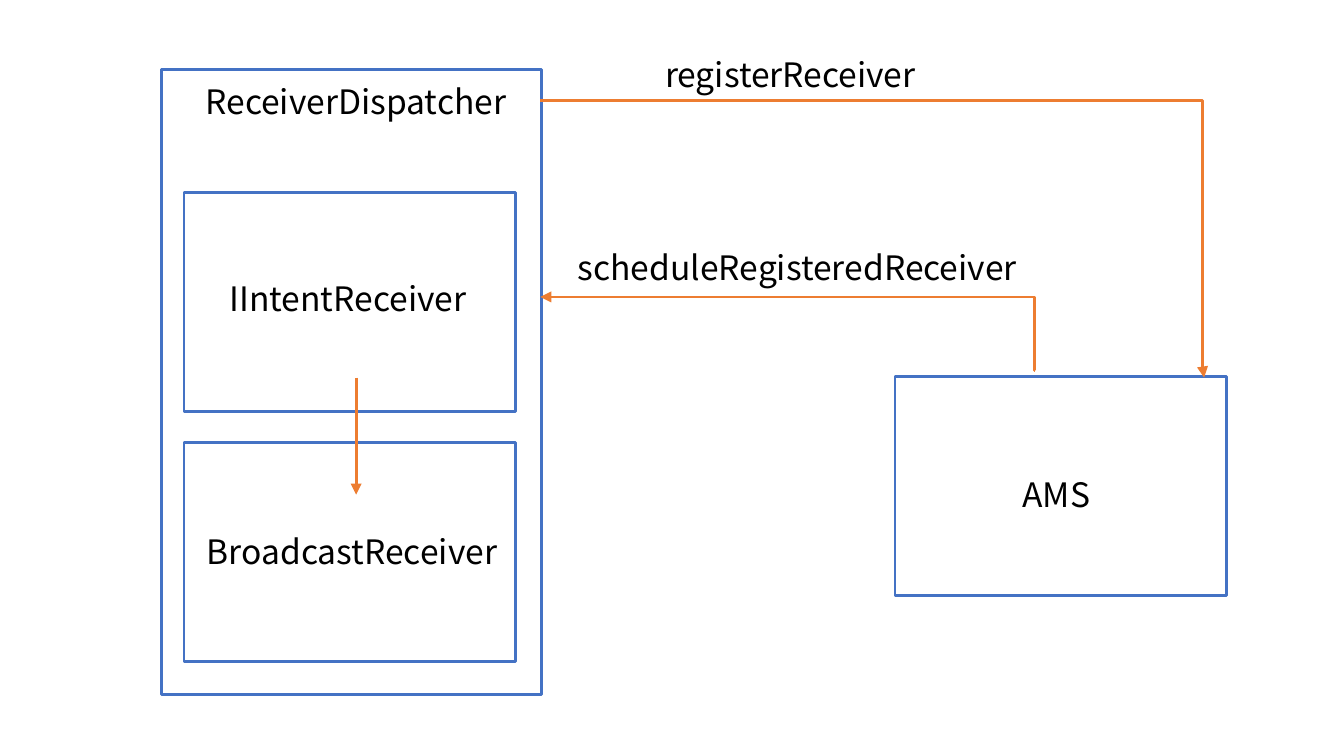
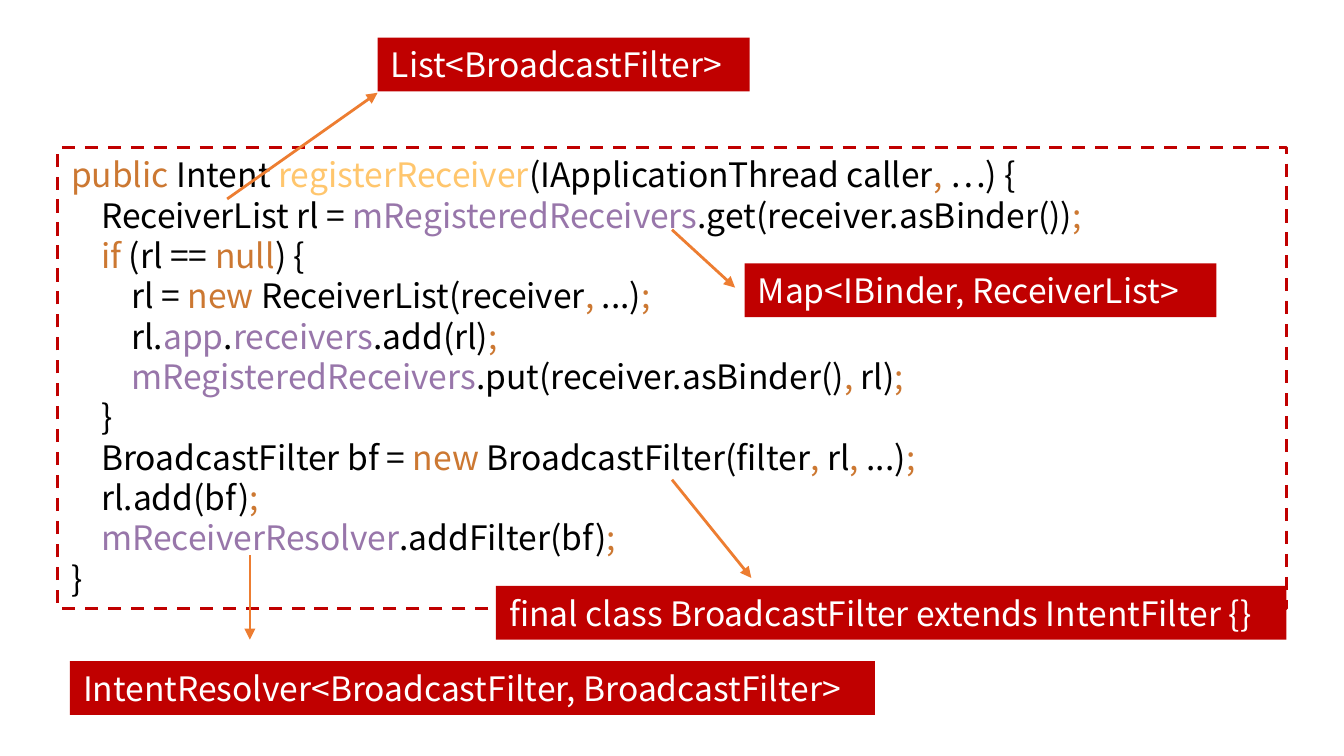
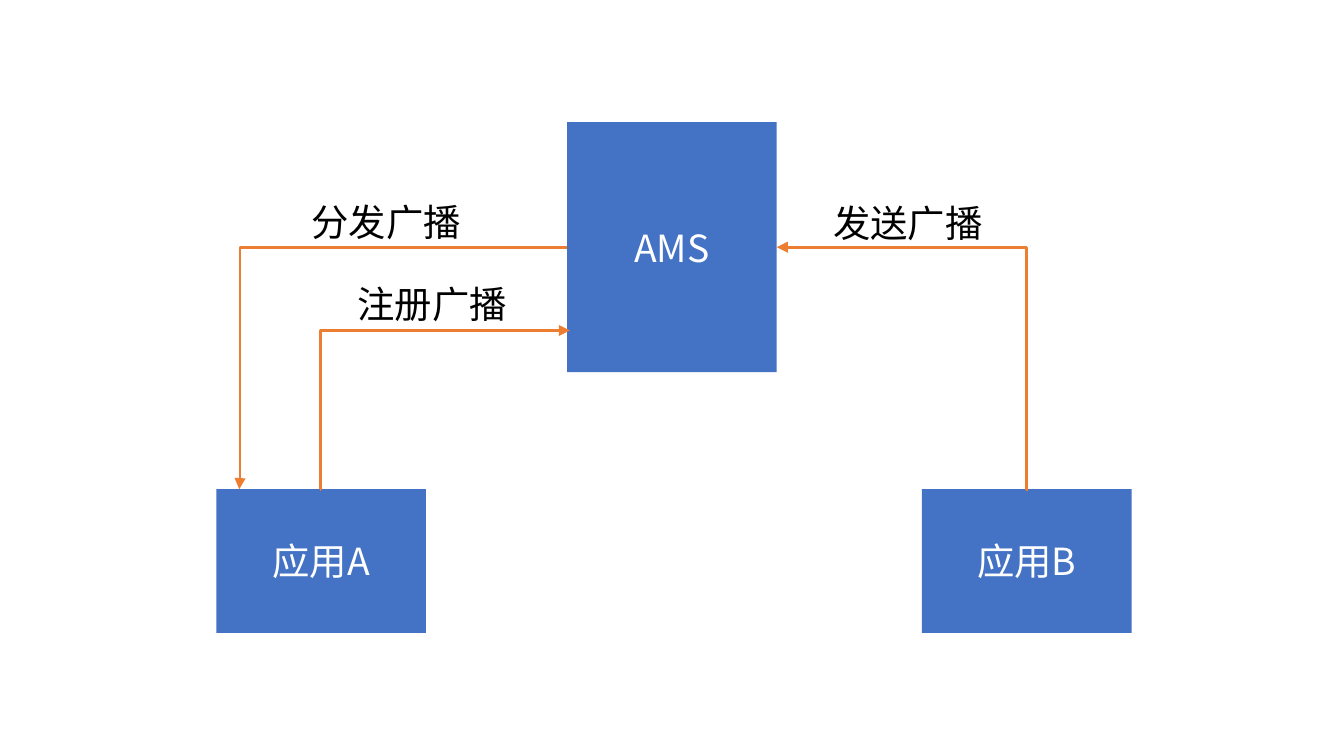
from dataclasses import dataclass

from lxml import etree
from pptx import Presentation
from pptx.dml.color import RGBColor
from pptx.enum.dml import MSO_LINE
from pptx.enum.shapes import MSO_CONNECTOR, MSO_SHAPE
from pptx.enum.text import MSO_ANCHOR, MSO_AUTO_SIZE, PP_ALIGN
from pptx.oxml.ns import qn
from pptx.shapes.autoshape import Shape
from pptx.slide import Slide
from pptx.text.text import TextFrame
from pptx.util import Pt

RECTANGLE = MSO_SHAPE.RECTANGLE
STRAIGHT, ELBOW = MSO_CONNECTOR.STRAIGHT, MSO_CONNECTOR.ELBOW
DASH = MSO_LINE.DASH
TOP, MIDDLE = MSO_ANCHOR.TOP, MSO_ANCHOR.MIDDLE
LEFT, CENTER = PP_ALIGN.LEFT, PP_ALIGN.CENTER
GROW = MSO_AUTO_SIZE.SHAPE_TO_FIT_TEXT

FONT = "Noto Sans CJK SC"
BLACK, WHITE = "000000", "FFFFFF"
BLUE, ORANGE, RED = "4472C4", "ED7D31", "C00000"
KEYWORD, METHOD, FIELD = "CC7832", "FFC66D", "9876AA"
BODY_SIZE, FLOW_SIZE = 18, 20
LABEL_HEIGHT = 28.8
TURN_AT_START, TURN_AT_END = 100, 99800

Run = tuple[str, str]


@dataclass(frozen=True)
class Box:
    left: float
    top: float
    width: float
    height: float = LABEL_HEIGHT


@dataclass(frozen=True)
class Label:
    text: str
    box: Box


@dataclass(frozen=True)
class Arrow:
    start: tuple[float, float]
    end: tuple[float, float]
    turn: int | None = None


def rgb(color: str) -> RGBColor:
    return RGBColor.from_string(color)


def write(frame: TextFrame, lines: list[list[Run]], size: float) -> None:
    paragraph = frame.paragraphs[0]
    for number, line in enumerate(lines):
        if number:
            paragraph.add_line_break()
        for text, color in line:
            run = paragraph.add_run()
            run.text = text
            run.font.size = Pt(size)
            run.font.color.rgb = rgb(color)
            run.font.name = FONT
            etree.SubElement(run.font._element, qn("a:ea"), typeface=FONT)


def add_box(slide: Slide, box: Box, fill: str | None = None,
            outline: str | None = None, weight: float = 1.5) -> Shape:
    shape = slide.shapes.add_shape(
        RECTANGLE, Pt(box.left), Pt(box.top), Pt(box.width), Pt(box.height))
    shape.shadow.inherit = False
    if fill:
        shape.fill.solid()
        shape.fill.fore_color.rgb = rgb(fill)
    else:
        shape.fill.background()
    if outline:
        shape.line.color.rgb = rgb(outline)
        shape.line.width = Pt(weight)
    else:
        shape.line.fill.background()
    return shape


def add_label(slide: Slide, label: Label, size: float = BODY_SIZE) -> None:
    box = label.box
    frame = slide.shapes.add_textbox(
        Pt(box.left), Pt(box.top), Pt(box.width), Pt(box.height)).text_frame
    frame.word_wrap = False
    frame.auto_size = GROW
    write(frame, [[(label.text, BLACK)]], size)


def add_callout(slide: Slide, callout: Label) -> None:
    frame = add_box(slide, callout.box, fill=RED).text_frame
    frame.word_wrap = False
    frame.auto_size = GROW
    frame.vertical_anchor = TOP
    frame.paragraphs[0].alignment = LEFT
    write(frame, [[(callout.text, WHITE)]], BODY_SIZE)


def add_flow_node(slide: Slide, node: Label) -> None:
    frame = add_box(slide, node.box, fill=BLUE).text_frame
    frame.word_wrap = True
    frame.vertical_anchor = MIDDLE
    frame.paragraphs[0].alignment = CENTER
    write(frame, [[(node.text, WHITE)]], FLOW_SIZE)


def add_arrow(slide: Slide, arrow: Arrow) -> None:
    connector = slide.shapes.add_connector(
        STRAIGHT if arrow.turn is None else ELBOW,
        *(Pt(value) for value in arrow.start + arrow.end))
    connector.line.color.rgb = rgb(ORANGE)
    connector.line.width = Pt(1.5)
    properties = connector._element.spPr
    etree.SubElement(properties.find(qn("a:ln")), qn("a:tailEnd"), type="triangle")
    etree.SubElement(properties, qn("a:effectLst"))
    if arrow.turn is not None:
        adjustments = properties.find(qn("a:prstGeom")).find(qn("a:avLst"))
        etree.SubElement(adjustments, qn("a:gd"), name="adj1", fmla=f"val {arrow.turn}")


def build_registration(slide: Slide) -> None:
    part_width, part_height = 177.8, 117.4
    dispatcher = Box(86.4, 37.4, 203.8, 334.8)
    parts = [Box(left, top, part_width, part_height)
             for left, top in ((98.6, 236.9), (98.6, 103), (479.5, 201.6))]
    for box in (dispatcher, *parts):
        add_box(slide, box, outline=BLUE)
    for label in (
        Label("ReceiverDispatcher", Box(103, 39.6, 180)),
        Label("BroadcastReceiver", Box(103.7, 280.8, 172.8)),
        Label("IIntentReceiver", Box(115.9, 145.4, 144)),
        Label("AMS", Box(540.7, 250.6, 55.4)),
        Label("scheduleRegisteredReceiver", Box(302.4, 128.9, 256.3)),
        Label("registerReceiver", Box(349.2, 25.2, 153.4)),
    ):
        add_label(slide, label)
    for arrow in (
        Arrow((190.8, 202.3), (190.8, 265)),
        Arrow((289.4, 54), (645.1, 202.3), TURN_AT_END),
        Arrow((554.4, 198.7), (289.4, 159.1), TURN_AT_START),
    ):
        add_arrow(slide, arrow)


REGISTER_CODE: list[list[Run]] = [
    [("public ", KEYWORD), ("Intent ", BLACK), ("registerReceiver", METHOD),
     ("(IApplicationThread caller", BLACK), (", ", KEYWORD), ("…) {", BLACK)],
    [("    ReceiverList rl = ", BLACK), ("mRegisteredReceivers", FIELD),
     (".get(receiver.asBinder())", BLACK), (";", KEYWORD)],
    [("    if ", KEYWORD), ("(rl == ", BLACK), ("null", KEYWORD), (") {", BLACK)],
    [("        rl = ", BLACK), ("new ", KEYWORD), ("ReceiverList(receiver", BLACK),
     (", ", KEYWORD), ("...)", BLACK), (";", KEYWORD)],
    [("        rl.", BLACK), ("app", FIELD), (".", BLACK), ("receivers", FIELD),
     (".add(rl)", BLACK), (";", KEYWORD)],
    [("        mRegisteredReceivers", FIELD), (".put(receiver.asBinder()", BLACK),
     (", ", KEYWORD), ("rl)", BLACK), (";", KEYWORD)],
    [("    }", BLACK)],
    [("    BroadcastFilter bf = ", BLACK), ("new ", KEYWORD),
     ("BroadcastFilter(filter", BLACK), (", ", KEYWORD), ("rl", BLACK),
     (", ", KEYWORD), ("...)", BLACK), (";", KEYWORD)],
    [("    rl.add(bf)", BLACK), (";", KEYWORD)],
    [("    mReceiverResolver", FIELD), (".addFilter(bf)", BLACK), (";", KEYWORD)],
    [("}", BLACK)],
]


def build_register_code(slide: Slide) -> None:
    listing = add_box(slide, Box(31, 79.2, 658.1, 247), outline=RED, weight=1.75)
    listing.line.dash_style = DASH
    frame = listing.text_frame
    frame.word_wrap = True
    frame.auto_size = GROW
    frame.vertical_anchor = TOP
    frame.paragraphs[0].alignment = LEFT
    write(frame, REGISTER_CODE, BODY_SIZE)
    for callout, arrow in (
        (Label("List<BroadcastFilter>", Box(202.3, 20.2, 199.4)),
         Arrow((121.7, 106.6), (202.3, 49.7))),
        (Label("Map<IBinder, ReceiverList>", Box(398.9, 141.1, 252.7)),
         Arrow((360, 123.1), (393.8, 154.1))),
        (Label("IntentResolver<BroadcastFilter, BroadcastFilter>",
               Box(37.4, 354.2, 431.3)),
         Arrow((133.9, 297.4), (133.9, 342.7))),
        (Label("final class BroadcastFilter extends IntentFilter {}",
               Box(265.7, 313.9, 423.4)),
         Arrow((360, 257), (402.5, 309.6))),
    ):
        add_callout(slide, callout)
        add_arrow(slide, arrow)


def build_broadcast_flow(slide: Slide) -> None:
    node_width, app_top, app_height = 112.3, 262.1, 77
    for node in (
        Label("应用A", Box(115.9, app_top, node_width, app_height)),
        Label("AMS", Box(303.8, 65.5, node_width, 133.9)),
        Label("应用B", Box(493.9, app_top, node_width, app_height)),
    ):
        add_flow_node(slide, node)
    step_width, step_height = 95, 31.7
    for step, arrow in (
        (Label("注册广播", Box(184.3, 146.9, step_width, step_height)),
         Arrow((171.4, app_top), (305.3, 177.1), TURN_AT_START)),
        (Label("发送广播", Box(439.2, 103.7, step_width, step_height)),
         Arrow((550.1, app_top), (416.2, 132.5), TURN_AT_START)),
        (Label("分发广播", Box(159.8, 103, step_width, step_height)),
         Arrow((303.8, 132.5), (128.2, app_top), TURN_AT_END)),
    ):
        add_arrow(slide, arrow)
        add_label(slide, step, FLOW_SIZE)


def main() -> None:
    presentation = Presentation()
    presentation.slide_width = Pt(720)
    presentation.slide_height = Pt(405)
    blank = presentation.slide_layouts[6]
    for build in (build_registration, build_register_code, build_broadcast_flow):
        build(presentation.slides.add_slide(blank))
    presentation.save("out.pptx")


if __name__ == "__main__":
    main()
